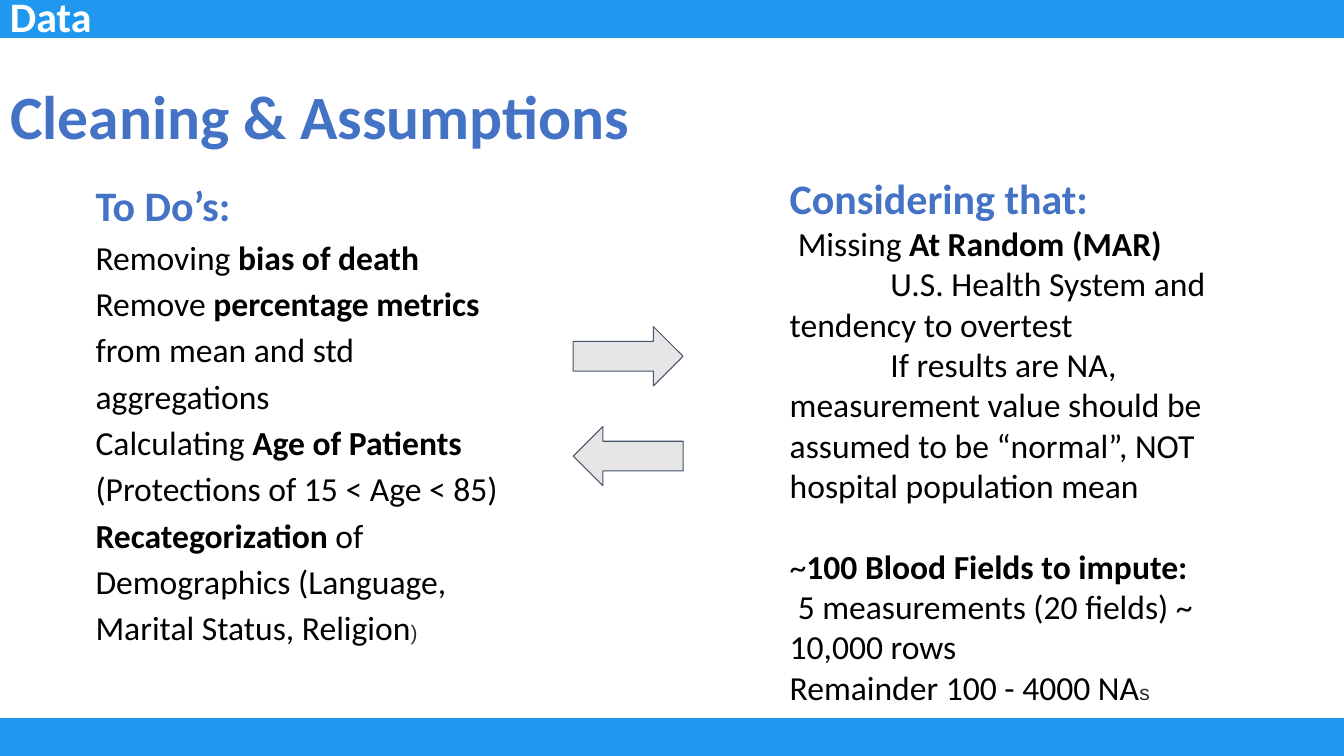
from pptx import Presentation
from pptx.dml.color import RGBColor
from pptx.enum.shapes import MSO_SHAPE
from pptx.enum.text import MSO_ANCHOR, MSO_AUTO_SIZE, PP_ALIGN
from pptx.util import Inches, Pt

COLUMNS, ROWS = 40, 20
BAR_BLUE, HEADING_BLUE = "2198EF", "4472C4"
WHITE, BLACK, CHARCOAL = "FFFFFF", "000000", "282D34"
ARROW_GRAY, ARROW_LINE = "E7E6E6", "44546A"


def color(hex_string):
    """Turn a hex string into a colour."""
    return RGBColor.from_string(hex_string)


def plain(text):
    """Describe a regular body run."""
    return text, {}


def bold(text):
    """Describe a bold body run."""
    return text, {"is_bold": True}


def heading(text, size=30, fill=HEADING_BLUE):
    """Describe a bold heading run."""
    return text, {"size": size, "fill": fill, "is_bold": True}


def small(text):
    """Describe a small closing run."""
    return text, {"size": 15, "fill": CHARCOAL, "font_name": "Arial"}


class SlideBuilder:
    """Hold the style and the current slide."""

    def __init__(self, presentation):
        """Add a title-only slide and measure its grid."""
        self.slide = presentation.slides.add_slide(presentation.slide_layouts[5])
        self.column = presentation.slide_width / COLUMNS
        self.row = presentation.slide_height / ROWS

    def place(self, left, top, width, height):
        """Convert grid units to lengths."""
        return (round(left * self.column), round(top * self.row),
                round(width * self.column), round(height * self.row))

    def fill_frame(self, frame, paragraphs, line_spacing=1.0, anchor=MSO_ANCHOR.TOP):
        """Fill a text frame with paragraphs of styled runs."""
        frame.word_wrap = True
        frame.auto_size = MSO_AUTO_SIZE.NONE
        frame.vertical_anchor = anchor
        for index, (runs, indent, space_before) in enumerate(paragraphs):
            paragraph = frame.add_paragraph() if index else frame.paragraphs[0]
            paragraph.alignment = PP_ALIGN.LEFT
            paragraph.line_spacing = line_spacing
            paragraph.space_before = Pt(space_before)
            if indent:
                paragraph._p.get_or_add_pPr().set("indent", str(Inches(indent)))
            for text, style in runs:
                self.add_run(paragraph, text, **style)

    def add_run(self, paragraph, text, size=24, fill=BLACK, is_bold=False,
                font_name="Calibri"):
        """Add one styled run."""
        run = paragraph.add_run()
        run.text = text
        run.font.name = font_name
        run.font.size = Pt(size)
        run.font.bold = is_bold
        run.font.color.rgb = color(fill)

    def title(self, box, run):
        """Move and fill the title placeholder."""
        title = self.slide.shapes.title
        title.left, title.top, title.width, title.height = self.place(*box)
        self.fill_frame(title.text_frame, [([run], 0, 0)], 0.9, MSO_ANCHOR.MIDDLE)

    def text(self, box, paragraphs, line_spacing=1.0):
        """Add a text box."""
        shape = self.slide.shapes.add_textbox(*self.place(*box))
        self.fill_frame(shape.text_frame, paragraphs, line_spacing)

    def shape(self, kind, box, fill, line=None):
        """Add a filled preset shape."""
        shape = self.slide.shapes.add_shape(kind, *self.place(*box))
        shape.shadow.inherit = False
        shape.fill.solid()
        shape.fill.fore_color.rgb = color(fill)
        if line:
            shape.line.color.rgb = color(line)
            shape.line.width = Pt(0.75)
        else:
            shape.line.fill.background()
        return shape

    def bar(self, top, run=None):
        """Add a full-width bar one row high."""
        bar = self.shape(MSO_SHAPE.RECTANGLE, (0, top, COLUMNS, 1), BAR_BLUE)
        if run:
            self.fill_frame(bar.text_frame, [([run], 0, 0)], 0.9, MSO_ANCHOR.MIDDLE)

    def arrow(self, top, rotation):
        """Add a block arrow between the two text columns."""
        arrow = self.shape(MSO_SHAPE.RIGHT_ARROW, (17.06, top, 3.27, 1.57),
                           ARROW_GRAY, ARROW_LINE)
        arrow.rotation = rotation


TO_DOS = [
    ([heading("To Do’s:")], 0, 0),
    ([plain("Removing "), bold("bias of death")], 0, 0),
    ([plain("Remove "), bold("percentage metrics "),
      plain("from mean and std aggregations")], 0, 0),
    ([plain("Calculating"), bold(" Age of Patients "),
      plain("(Protections of 15 < Age < 85)")], 0, 0),
    ([bold("Recategorization "),
      plain("of Demographics (Language, Marital Status, Religion"), small(")")], 0, 0),
]

CONSIDERATIONS = [
    ([heading("Considering that:")], 0, 0),
    ([plain("Missing "), bold("At Random (MAR)")], 0.08, 0),
    ([plain("U.S. Health System and tendency to overtest")], 1, 0),
    ([plain("If results are NA, measurement value should be assumed to be "
            "“normal”, NOT hospital population mean")], 1, 0),
    ([plain("~"), bold("100 Blood Fields to impute:")], 0, 29),
    ([plain("5 measurements (20 fields) ~ 10,000 rows")], 0.08, 0),
    ([plain("Remainder 100 - 4000 NA"), small("s")], 0, 0),
]


def main():
    """Build and save the slide."""
    presentation = Presentation()
    presentation.slide_width = Inches(13.34)
    presentation.slide_height = Inches(7.5)
    builder = SlideBuilder(presentation)
    builder.bar(ROWS - 1)
    builder.bar(0, heading("Data", fill=WHITE))
    builder.title((0, 1.23, 34.48, 3.87), heading("Cleaning & Assumptions", 44))
    builder.text((2.55, 4.43, 13.6, 13.92), TO_DOS, 1.15)
    builder.text((23.21, 4.43, 13.6, 8.21), CONSIDERATIONS)
    for top, rotation in ((8.64, 0), (11.28, 180)):
        builder.arrow(top, rotation)
    presentation.save("out.pptx")


if __name__ == "__main__":
    main()
